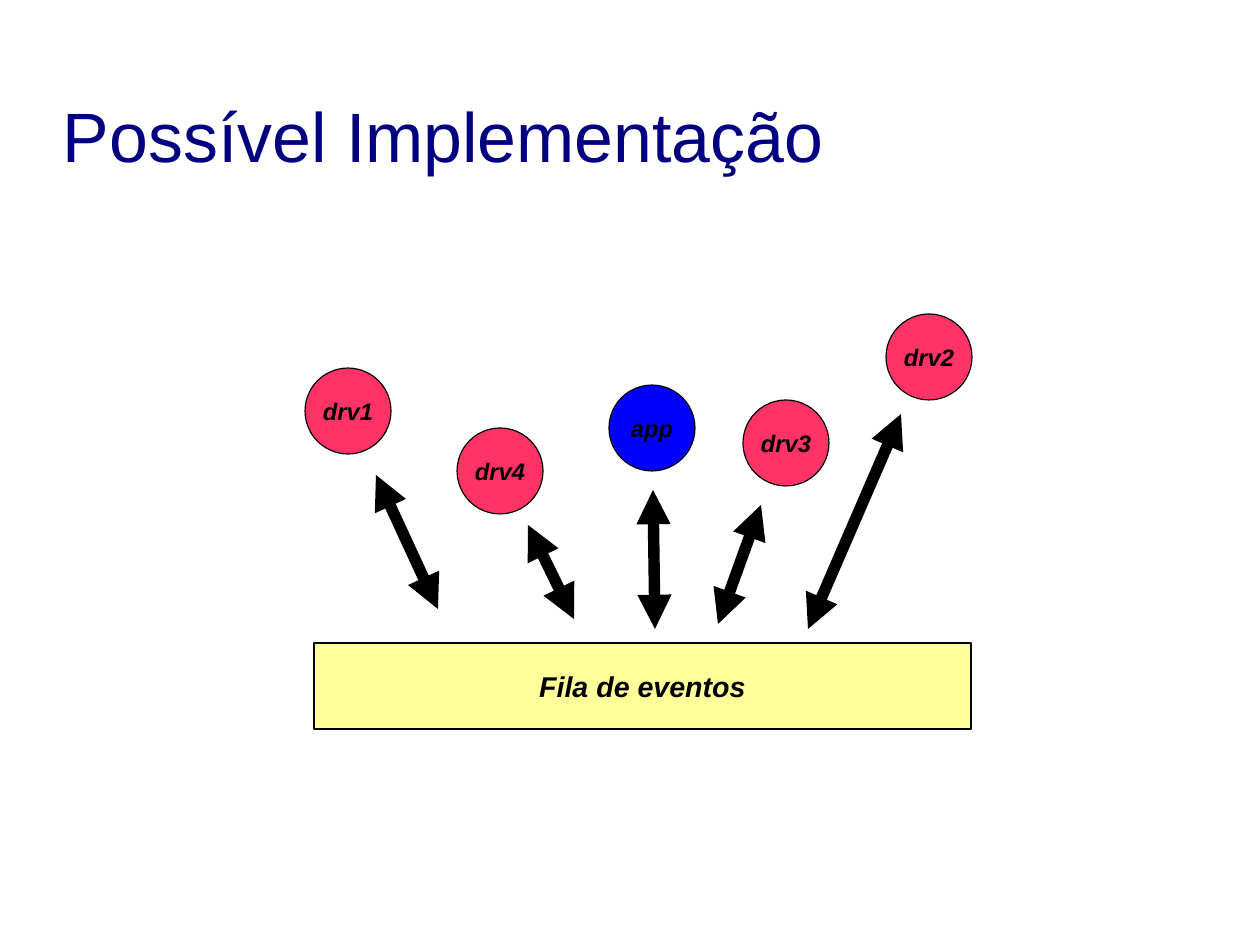
from lxml import etree
from pptx import Presentation
from pptx import util as u
from pptx.dml.color import RGBColor
from pptx.enum import shapes, text
from pptx.oxml.ns import qn

PX = 8000  # EMU per px
COLORS = {"title": "000080", "ink": "000000", "queue": "FFFF99",
          "driver": "FF3366", "app": "0000FF"}
DISC = 86

# Label, fill, left and top of each disc
NODES = [("drv3", "driver", 438, 86), ("app", "app", 304, 71),
         ("drv4", "driver", 152, 114), ("drv2", "driver", 581, 0),
         ("drv1", "driver", 0, 54)]
# Queue end and disc end of each arrow
ARROWS = [(133, 295, 71, 161), (269, 305, 223, 211), (350, 315, 348, 176),
          (503, 315, 596, 100), (413, 310, 456, 191)]


def px(*sizes):
    return [u.Emu(size * PX) for size in sizes]


def color(name):
    return RGBColor.from_string(COLORS[name])


def write(shape, words, size, ink="ink", bold=False, italic=False,
          align=text.PP_ALIGN.CENTER, wrap=False):
    frame = shape.text_frame
    frame.word_wrap = wrap
    frame.margin_left = frame.margin_right = 0
    frame.margin_top = frame.margin_bottom = 0
    frame.vertical_anchor = text.MSO_ANCHOR.MIDDLE
    para = frame.paragraphs[0]
    para.alignment = align
    run = para.add_run()
    run.text = words
    font = run.font
    font.name, font.size = "Arial", u.Pt(size)
    font.bold, font.italic = bold, italic
    font.color.rgb = color(ink)


def block(slide, kind, box, fill, words, size):
    shape = slide.shapes.add_shape(kind, *px(*box))
    shape.shadow.inherit = False
    shape.fill.solid()
    shape.fill.fore_color.rgb = color(fill)
    shape.line.color.rgb = color("ink")
    shape.line.width = u.Pt(0)
    write(shape, words, size, bold=True, italic=True)


def arrow(slide, *ends):
    line = slide.shapes.add_connector(shapes.MSO_CONNECTOR.STRAIGHT, *px(*ends))
    line.line.color.rgb = color("ink")
    line.line.width = u.Pt(7.2)
    # Heads at both ends, no shadow
    stroke = line.line._get_or_add_ln()
    for tag in ("a:headEnd", "a:tailEnd"):
        etree.SubElement(stroke, qn(tag), type="triangle")
    etree.SubElement(line._element.spPr, qn("a:effectLst"))


def title(slide, box):
    shape = slide.shapes.add_textbox(*px(*box))
    write(shape, "Possível Implementação", 44, ink="title",
          align=text.PP_ALIGN.LEFT, wrap=True)


def diagram(slide, box):
    left, top, width, height = box
    # Event queue along the bottom
    block(slide, shapes.MSO_SHAPE.RECTANGLE,
          (left + 9, top + height - DISC, width - 9, DISC),
          "queue", "Fila de eventos", 18)
    # Drivers and application
    for words, fill, x, y in NODES:
        block(slide, shapes.MSO_SHAPE.OVAL, (left + x, top + y, DISC, DISC),
              fill, words, 15)
    # Links to the queue
    for x1, y1, x2, y2 in ARROWS:
        arrow(slide, left + x1, top + y1, left + x2, top + y2)


def main():
    deck = Presentation()
    deck.slide_width, deck.slide_height = px(1260, 945)
    slide = deck.slides.add_slide(deck.slide_layouts[6])
    title(slide, (63, 56, 989, 158))
    diagram(slide, (305, 314, 666, 415))
    deck.save("out.pptx")


if __name__ == "__main__":
    main()
